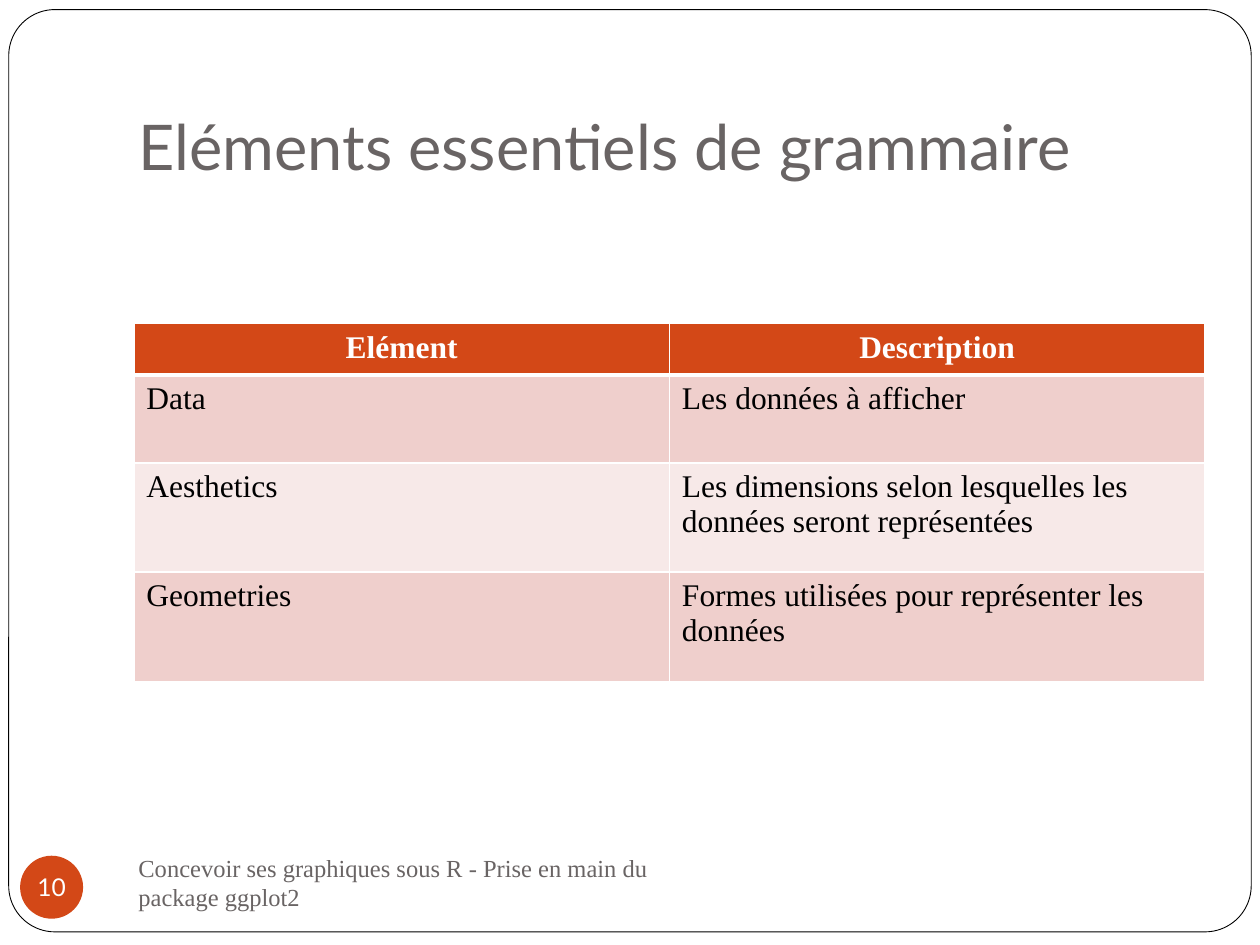
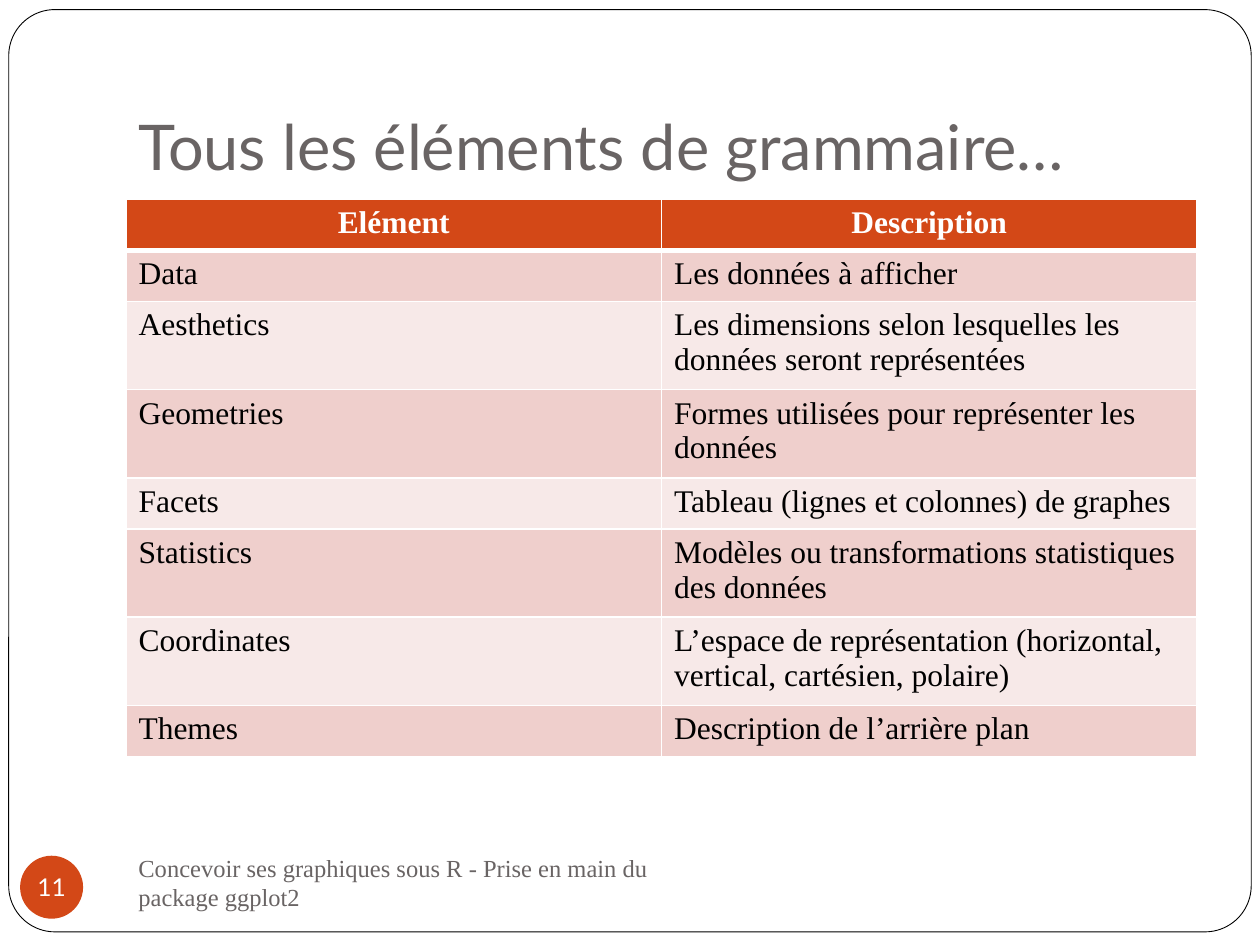
from lxml import etree
from pptx import Presentation
from pptx.dml.color import RGBColor
from pptx.enum.shapes import MSO_SHAPE
from pptx.enum.text import MSO_ANCHOR, MSO_AUTO_SIZE, PP_ALIGN
from pptx.oxml.ns import qn
from pptx.util import Pt

ROUNDED = MSO_SHAPE.ROUNDED_RECTANGLE
OVAL = MSO_SHAPE.OVAL
MIDDLE, BOTTOM = MSO_ANCHOR.MIDDLE, MSO_ANCHOR.BOTTOM
LEFT, CENTER = PP_ALIGN.LEFT, PP_ALIGN.CENTER

WHITE = RGBColor(0xFF, 0xFF, 0xFF)
BLACK = RGBColor(0x00, 0x00, 0x00)
GREY = RGBColor(0x69, 0x64, 0x64)
ORANGE = RGBColor(0xD3, 0x48, 0x17)
PINK = RGBColor(0xEF, 0xCF, 0xCC)
PALE_PINK = RGBColor(0xF7, 0xE9, 0xE8)

SANS = "Lato"
SERIF = "Times New Roman"

FOOTER = "Concevoir ses graphiques sous R - Prise en main du package ggplot2"
FIRST_NUMBER = 10
COLUMN_WIDTH = 306
HEADER = ("Elément", "Description")
ESSENTIALS = [
    ("Data", "Les données à afficher"),
    ("Aesthetics", "Les dimensions selon lesquelles les données seront représentées"),
    ("Geometries", "Formes utilisées pour représenter les données"),
]
EXTRAS = [
    ("Facets", "Tableau (lignes et colonnes) de graphes"),
    ("Statistics", "Modèles ou transformations statistiques des données"),
    ("Coordinates", "L’espace de représentation (horizontal, vertical, cartésien, polaire)"),
    ("Themes", "Description de l’arrière plan"),
]

# title, table left, table top, body rows, row heights
SLIDES = [
    ("Eléments essentiels de grammaire", 76.5, 185,
     ESSENTIALS, [29.2, 50.4, 62.4, 62.4]),
    ("Tous les éléments de grammaire…", 72, 113.8,
     ESSENTIALS + EXTRAS, [29.2, 29.2, 47, 47, 29.2, 47, 47, 29.2]),
]


def write(text_frame, text, font_name, size, color, align=LEFT, bold=False):
    text_frame.text = text
    paragraph = text_frame.paragraphs[0]
    paragraph.alignment = align
    font = paragraph.font
    font.name, font.size, font.bold = font_name, Pt(size), bold
    font.color.rgb = color


def add_borders(cell, top, bottom):
    """Draw white borders, 1 pt at the sides; call before filling the cell."""
    properties = cell._tc.get_or_add_tcPr()
    for side, width in (("L", 1), ("R", 1), ("T", top), ("B", bottom)):
        line = etree.SubElement(properties, qn(f"a:ln{side}"), w=str(Pt(width)))
        fill = etree.SubElement(line, qn("a:solidFill"))
        etree.SubElement(fill, qn("a:srgbClr"), val=str(WHITE))


presentation = Presentation()
presentation.slide_width, presentation.slide_height = Pt(720), Pt(540)
title_only = presentation.slide_layouts[5]

for number, (heading, left, top, body, heights) in enumerate(SLIDES, FIRST_NUMBER):
    slide = presentation.slides.add_slide(title_only)
    shapes = slide.shapes

    title = shapes.title
    title.left, title.top, title.width, title.height = Pt(72), Pt(21.6), Pt(612), Pt(90)
    title_frame = title.text_frame
    title_frame.auto_size = MSO_AUTO_SIZE.NONE
    title_frame.vertical_anchor = BOTTOM
    title_frame.margin_bottom = Pt(7.2)
    write(title_frame, heading, SANS, 36, GREY)

    frame = shapes.add_shape(ROUNDED, Pt(5), Pt(5.5), Pt(710), Pt(527))
    frame.adjustments[0] = 0.05
    frame.shadow.inherit = False
    frame.fill.solid()
    frame.fill.fore_color.rgb = WHITE
    frame.line.color.rgb = BLACK
    frame.line.width = Pt(0.5)
    title.element.addprevious(frame.element)

    footer = shapes.add_textbox(Pt(72), Pt(486), Pt(312), Pt(36))
    footer.text_frame.word_wrap = True
    footer.text_frame.vertical_anchor = MIDDLE
    write(footer.text_frame, FOOTER, SERIF, 14, GREY)

    badge = shapes.add_shape(OVAL, Pt(11.5), Pt(489), Pt(36), Pt(36))
    badge.shadow.inherit = False
    badge.fill.solid()
    badge.fill.fore_color.rgb = ORANGE
    badge.line.fill.background()
    badge_frame = badge.text_frame
    badge_frame.margin_left = badge_frame.margin_right = 0
    badge_frame.margin_top = badge_frame.margin_bottom = 0
    badge_frame.word_wrap = False
    badge_frame.vertical_anchor = MIDDLE
    write(badge_frame, str(number), SANS, 14, WHITE, CENTER)

    rows = [HEADER] + body
    table = shapes.add_table(len(rows), len(HEADER), Pt(left), Pt(top),
                             Pt(COLUMN_WIDTH * len(HEADER)), Pt(sum(heights))).table
    for column in table.columns:
        column.width = Pt(COLUMN_WIDTH)
    for row_index, (texts, height) in enumerate(zip(rows, heights)):
        table.rows[row_index].height = Pt(height)
        is_header = row_index == 0
        if is_header:
            fill_color, text_color, align = ORANGE, WHITE, CENTER
        else:
            fill_color = PINK if row_index % 2 else PALE_PINK
            text_color, align = BLACK, LEFT
        for column_index, text in enumerate(texts):
            cell = table.cell(row_index, column_index)
            add_borders(cell, 3 if row_index == 1 else 1, 3 if is_header else 1)
            cell.fill.solid()
            cell.fill.fore_color.rgb = fill_color
            write(cell.text_frame, text, SERIF, 18, text_color, align, is_header)

presentation.save("out.pptx")
